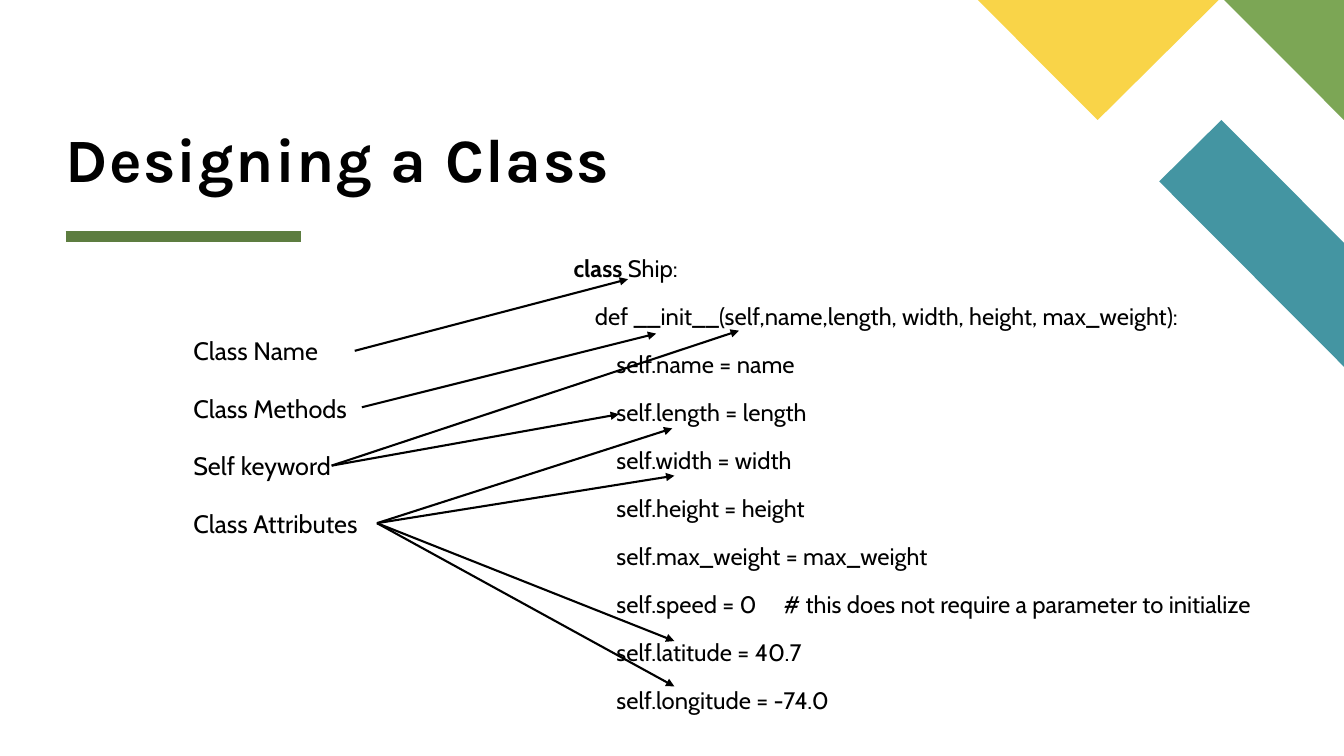
from lxml import etree
from pptx import Presentation
from pptx.dml.color import RGBColor
from pptx.enum.shapes import MSO_CONNECTOR
from pptx.enum.text import MSO_ANCHOR
from pptx.oxml.ns import qn
from pptx.util import Pt

STRAIGHT = MSO_CONNECTOR.STRAIGHT
TOP, BOTTOM = MSO_ANCHOR.TOP, MSO_ANCHOR.BOTTOM
SLIDE_WIDTH, SLIDE_HEIGHT = 960, 540
BLACK = "000000"

# Corner shapes: colour and points, measured from the top right corner
CORNER_SHAPES = [
    ("4495A2", [(0, 262), (0, 173.5), (-87.5, 85.7), (-132, 129.6)]),
    ("7CA655", [(0, 85.7), (0, 0), (-85.5, 0)]),
    ("F9D448", [(-261.6, 0), (-175.9, 85.7), (-89.5, 0)]),
]

CODE_LINES = [
    [("class", True), (" Ship:", False)],
    [("    def __init__(self,name,length, width, height, max_weight):", False)],
    [("        self.name = name", False)],
    [("        self.length = length", False)],
    [("        self.width = width", False)],
    [("        self.height = height", False)],
    [("        self.max_weight = max_weight", False)],
    [("        self.speed = 0     # this does not require a parameter to initialize", False)],
    [("        self.latitude = 40.7", False)],
    [("        self.longitude = -74.0", False)],
]

# Label, box width, arrow start and arrow ends
LABELS = [
    ("Class Name", 106, (253.4, 250.6), [(448.6, 199.4)]),
    ("Class Methods", 480, (258.5, 290.9), [(468.7, 238.3)]),
    ("Self keyword", 480, (236.9, 332.6), [(527.8, 236.2), (442.1, 295.9)]),
    ("Class Attributes", 480, (269.3, 373.7),
     [(480.2, 306), (481.7, 339.8), (481.7, 457.9), (481.7, 490.3)]),
]


def color(hex_string):
    return RGBColor.from_string(hex_string)


def add_text(slide, box, lines, font="Cabin", size=18, margins=(7.2, 3.6),
             anchor=TOP, wrap=True, line_spacing=None, space_before=0, letter_spacing=0):
    """Add a text box; each line is a list of (text, bold) runs."""
    shape = slide.shapes.add_textbox(*map(Pt, box))
    frame = shape.text_frame
    frame.word_wrap = wrap
    frame.vertical_anchor = anchor
    frame.margin_left = frame.margin_right = Pt(margins[0])
    frame.margin_top = frame.margin_bottom = Pt(margins[1])
    for index, runs in enumerate(lines):
        paragraph = frame.add_paragraph() if index else frame.paragraphs[0]
        paragraph.space_before = Pt(space_before if index else 0)
        paragraph.line_spacing = line_spacing
        for text, bold in runs:
            run = paragraph.add_run()
            run.text = text
            run.font.name = font
            run.font.size = Pt(size)
            run.font.bold = bold
            run.font.color.rgb = color(BLACK)
            if letter_spacing:
                run.font._element.set("spc", str(letter_spacing * 100))
    return shape


def add_line(slide, start, end, line_color=BLACK, width=1.5, arrow=True):
    connector = slide.shapes.add_connector(STRAIGHT, *map(Pt, (*start, *end)))
    connector.line.color.rgb = color(line_color)
    connector.line.width = Pt(width)
    if arrow:
        outline = connector.line._get_or_add_ln()
        etree.SubElement(outline, qn("a:tailEnd"), type="triangle")
    etree.SubElement(connector._element.spPr, qn("a:effectLst"))


def add_corner(slide, right, top):
    for fill, offsets in CORNER_SHAPES:
        points = [(Pt(right + x), Pt(top + y)) for x, y in offsets]
        builder = slide.shapes.build_freeform(*points[0])
        builder.add_line_segments(points[1:], close=True)
        shape = builder.convert_to_shape()
        shape.shadow.inherit = False
        shape.fill.solid()
        shape.fill.fore_color.rgb = color(fill)
        shape.line.fill.background()


def add_title(slide, left, top, width, height):
    # Rule below the title
    rule_top = top + height + 30.2
    add_line(slide, (left, rule_top), (left + 168, rule_top), "5D7D40", 8, arrow=False)
    add_text(slide, (left, top, width, height), [[("Designing a Class", True)]],
             font="Karla", size=44, margins=(0, 0), anchor=BOTTOM,
             line_spacing=0.8, letter_spacing=1)


def add_code(slide, left, top, width, height):
    add_text(slide, (left, top, width, height), CODE_LINES, size=17,
             margins=(0, 3.6), line_spacing=0.8, space_before=18)


def add_labels(slide, left, top, pitch):
    for index, (label, width, start, ends) in enumerate(LABELS):
        box = (left, top + index * pitch, width, 29)
        add_text(slide, box, [[(label, False)]], wrap=width > 106)
        for end in ends:
            add_line(slide, start, end)


def main():
    presentation = Presentation()
    presentation.slide_width = Pt(SLIDE_WIDTH)
    presentation.slide_height = Pt(SLIDE_HEIGHT)
    slide = presentation.slides.add_slide(presentation.slide_layouts[6])
    add_corner(slide, SLIDE_WIDTH, 0)
    add_title(slide, 46.8, 21.6, 769.7, 117.4)
    add_code(slide, 409.7, 181.4, 537.8, 337)
    add_labels(slide, 131, 236.2, 41)
    presentation.save("out.pptx")


if __name__ == "__main__":
    main()
